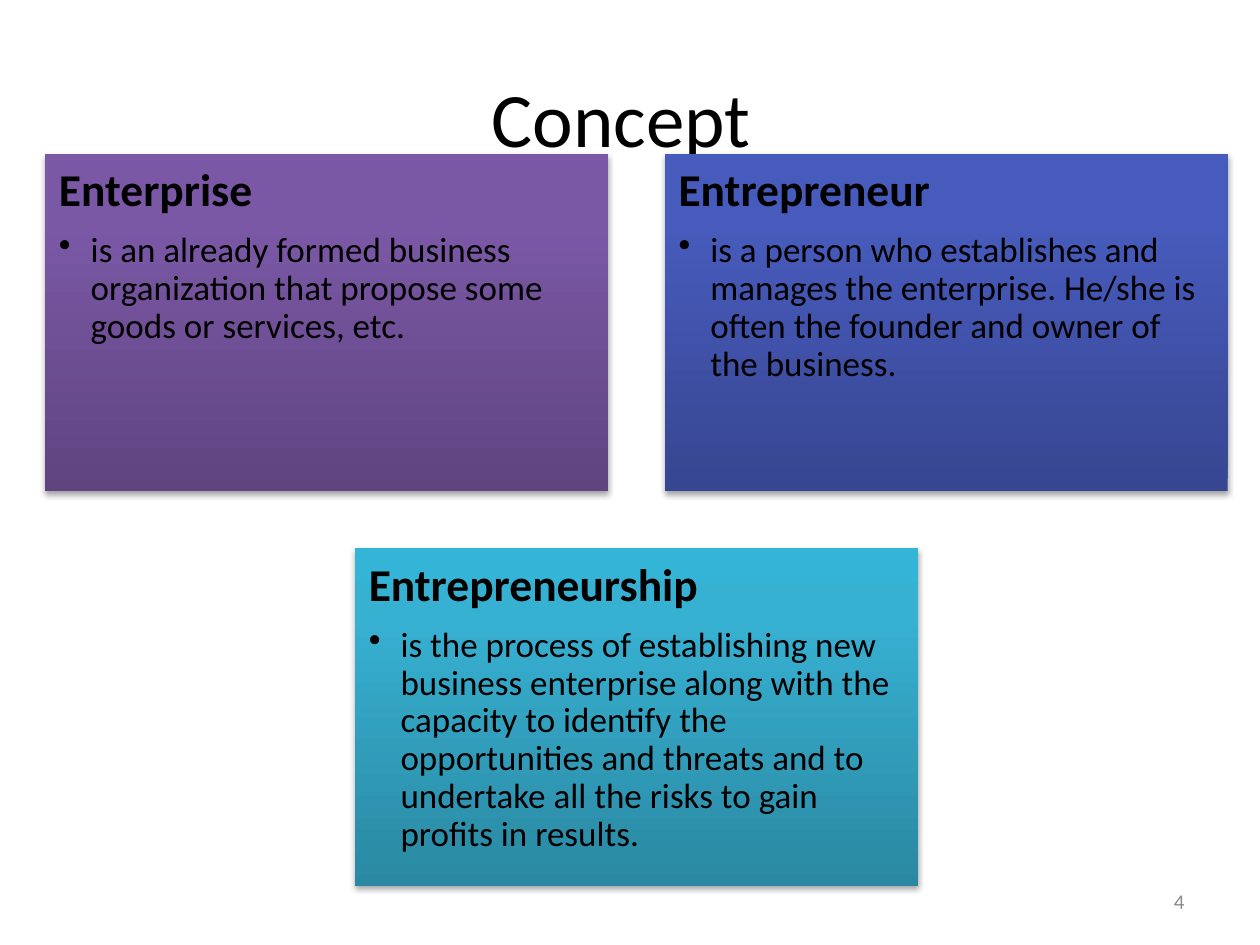
from lxml import etree
from pptx import Presentation
from pptx.dml.color import RGBColor
from pptx.enum.shapes import MSO_SHAPE
from pptx.enum.text import MSO_ANCHOR, PP_ALIGN
from pptx.oxml import parse_xml
from pptx.oxml.ns import nsdecls, qn
from pptx.util import Cm, Pt

RECTANGLE = MSO_SHAPE.RECTANGLE
TOP, MIDDLE = MSO_ANCHOR.TOP, MSO_ANCHOR.MIDDLE
LEFT, CENTER, RIGHT = PP_ALIGN.LEFT, PP_ALIGN.CENTER, PP_ALIGN.RIGHT


def write(paragraph, text, size, color="000000", bold=False, align=LEFT,
          line_spacing=None, space_after=0, bullet=False):
    paragraph.alignment = align
    paragraph.line_spacing = line_spacing
    paragraph.space_after = Pt(space_after)
    if bullet:
        properties = paragraph._p.get_or_add_pPr()
        properties.set("marL", str(Cm(0.64)))
        properties.set("indent", str(-Cm(0.64)))
        etree.SubElement(properties, qn("a:buChar")).set("char", "•")
    run = paragraph.add_run()
    run.text = text
    run.font.name = "Calibri"
    run.font.size = Pt(size)
    run.font.bold = bold
    run.font.color.rgb = RGBColor.from_string(color)


def style_card(card, colors):
    """Fill from bottom to top through three colours and add a soft shadow below."""
    stops = "".join(
        f'<a:gs pos="{position * 1000}"><a:srgbClr val="{color}"/></a:gs>'
        for position, color in zip((0, 80, 100), colors))
    gradient = parse_xml(
        f'<a:gradFill {nsdecls("a")} rotWithShape="1"><a:gsLst>{stops}</a:gsLst>'
        '<a:lin ang="16200000" scaled="0"/></a:gradFill>')
    shadow = parse_xml(
        f'<a:effectLst {nsdecls("a")}>'
        f'<a:outerShdw blurRad="{Pt(3.1)}" dist="{Pt(1.8)}" dir="5400000" rotWithShape="0">'
        '<a:srgbClr val="000000"><a:alpha val="35000"/></a:srgbClr>'
        '</a:outerShdw></a:effectLst>')
    card.line.fill.background()
    properties = card._element.spPr
    properties.find(qn("a:prstGeom")).addnext(gradient)
    properties.append(shadow)


presentation = Presentation()
presentation.slide_width, presentation.slide_height = Cm(25.4), Cm(19.05)
slide = presentation.slides.add_slide(presentation.slide_layouts[6])

# Title and page number
for text, left, top, width, height, text_format in (
    ("Concept ", 1.27, 0.76, 22.86, 3.18, {"size": 44, "align": CENTER}),
    ("4", 18.21, 17.65, 5.92, 1.02, {"size": 12, "color": "8C8C8C", "align": RIGHT}),
):
    frame = slide.shapes.add_textbox(Cm(left), Cm(top), Cm(width), Cm(height)).text_frame
    frame.word_wrap = True
    frame.vertical_anchor = MIDDLE
    write(frame.paragraphs[0], text, **text_format)

# Definition cards: two side by side, the third centred below
CARD_WIDTH, CARD_HEIGHT, GAP = 11.35, 6.81, 1.14
FIRST_LEFT, FIRST_TOP = 0.91, 3.1

definitions = (
    (0, 0, "Enterprise",
     "is an already formed business organization that propose some goods or services, etc.",
     ("5F4480", "7B58A6", "7C57A8")),
    (1, 0, "Entrepreneur",
     "is a person who establishes and manages the enterprise. He/she is often the founder "
     "and owner of the business.",
     ("374691", "475BBC", "455ABF")),
    (0.5, 1, "Entrepreneurship",
     "is the process of establishing new business enterprise along with the capacity to "
     "identify the opportunities and threats and to undertake all the risks to gain profits "
     "in results.",
     ("2A88A2", "37B1D2", "34B4D6")),
)
for column, row, term, meaning, colors in definitions:
    card = slide.shapes.add_shape(
        RECTANGLE,
        Cm(FIRST_LEFT + column * (CARD_WIDTH + GAP)),
        Cm(FIRST_TOP + row * (CARD_HEIGHT + GAP)),
        Cm(CARD_WIDTH), Cm(CARD_HEIGHT))
    style_card(card, colors)
    frame = card.text_frame
    frame.word_wrap = True
    frame.vertical_anchor = TOP
    frame.margin_left = frame.margin_right = Cm(0.28)
    frame.margin_top = frame.margin_bottom = Cm(0.28)
    write(frame.paragraphs[0], term, size=26, bold=True, line_spacing=0.9, space_after=9.1)
    write(frame.add_paragraph(), meaning, size=20, line_spacing=0.9, space_after=3,
          bullet=True)

presentation.save("out.pptx")
